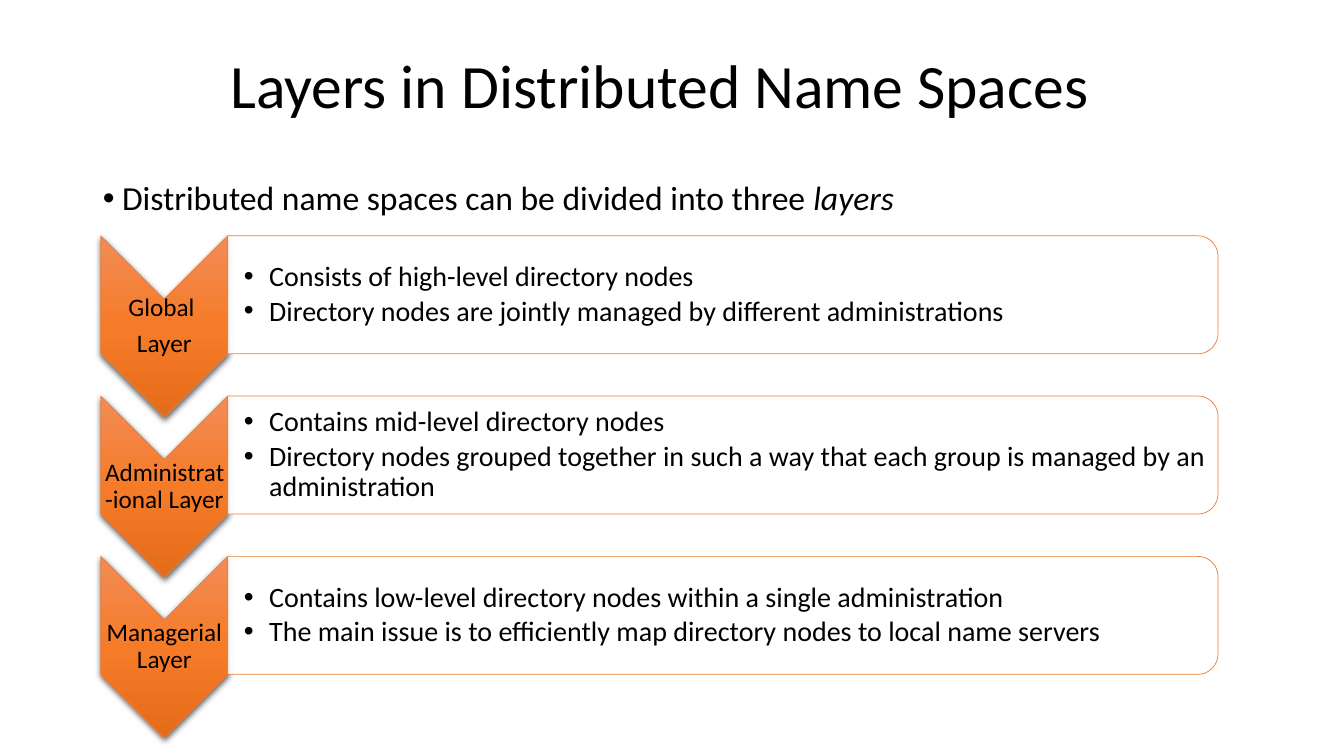
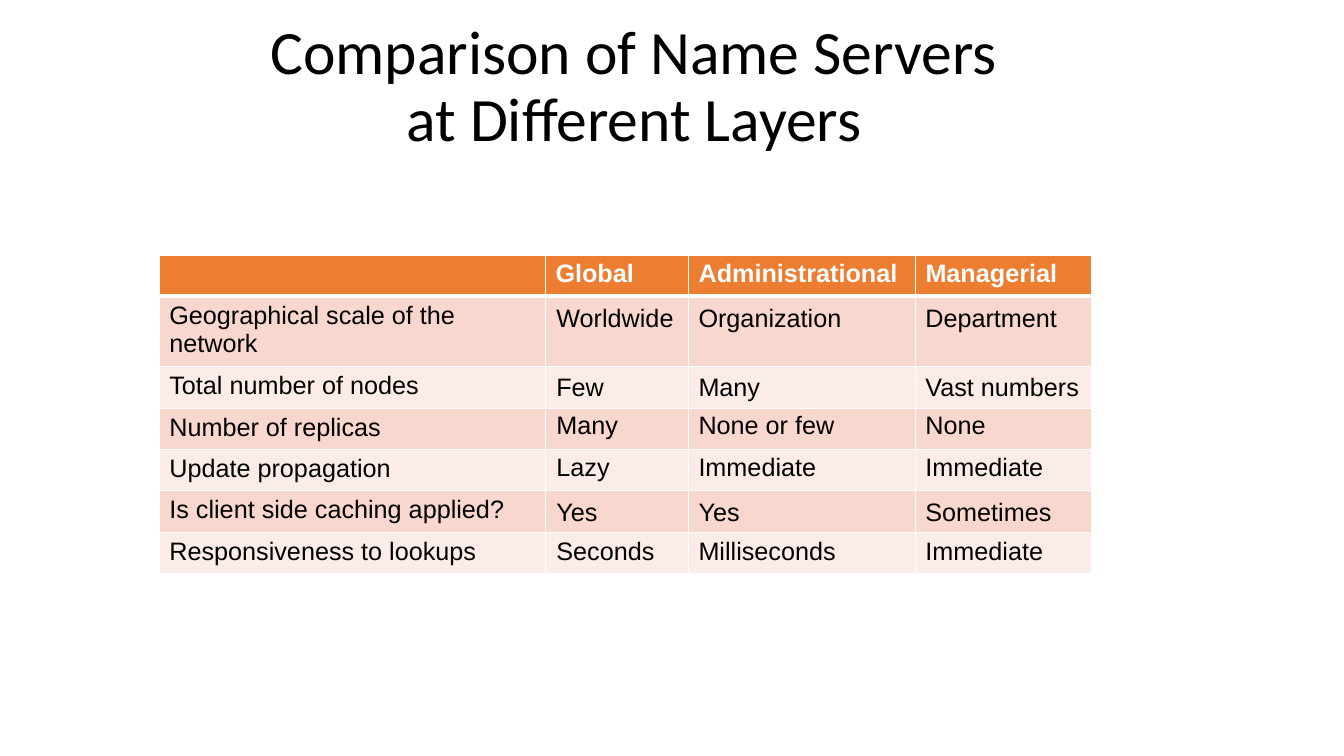
from copy import deepcopy
from math import cos, radians, sin

from lxml.etree import SubElement
from pptx import Presentation
from pptx.dml.color import RGBColor
from pptx.enum.text import MSO_ANCHOR, MSO_AUTO_SIZE, PP_ALIGN
from pptx.oxml.ns import qn
from pptx.util import Inches, Pt

BLACK, WHITE, ORANGE = "000000", "FFFFFF", "ED7D31"
BANDS = ["F8D7CE", "FCECE8"]
GRADIENT = [(0, "F18C57"), (0.5, "F67B28"), (1, "E56C19")]

LAYERS = [
    (["Global ", "Layer"],
     ["Consists of high-level directory nodes",
      "Directory nodes are jointly managed by different administrations"]),
    (["Administrat-ional Layer"],
     ["Contains mid-level directory nodes",
      "Directory nodes grouped together in such a way that each group is "
      "managed by an administration"]),
    (["Managerial Layer"],
     ["Contains low-level directory nodes within a single administration",
      "The main issue is to efficiently map directory nodes to local name servers"]),
]

HEADINGS = ["Global", "Administrational", "Managerial"]
# Row label, top of its values, then each value with the width of its box
COMPARISON = [
    ("Geographical scale of the network", 2.95,
     [("Worldwide", 1.42), ("Organization", 2.17), ("Department", 1.67)]),
    ("Total number of nodes", 3.63,
     [("Few", 0.83), ("Many", 0.83), ("Vast numbers", 1.75)]),
    ("Number of replicas", 4.01,
     [("Many", 0.83), ("None or few", 2.17), ("None", 1.17)]),
    ("Update propagation", 4.43,
     [("Lazy", 0.75), ("Immediate", 2.17), ("Immediate", 1.58)]),
    ("Is client side caching applied?", 4.87,
     [("Yes", 0.75), ("Yes", 0.75), ("Sometimes", 1.5)]),
    ("Responsiveness to lookups", 5.26,
     [("Seconds", 1.25), ("Milliseconds", 1.67), ("Immediate", 1.42)]),
]


def rgb(color):
    return RGBColor.from_string(color)


def apply(target, formats):
    for name, value in formats.items():
        setattr(target, name, value)


def place(shape, left, top, width, height):
    apply(shape, {"left": Inches(left), "top": Inches(top),
                  "width": Inches(width), "height": Inches(height)})


class Deck:
    """Holds the shared style and the slide being built."""

    heading = {"alignment": PP_ALIGN.CENTER, "line_spacing": 0.9}
    label = {**heading, "space_after": Pt(6.3)}
    item = {"alignment": PP_ALIGN.LEFT, "line_spacing": 0.9, "space_after": Pt(3)}
    lead = {"line_spacing": 0.9, "space_before": Pt(7.5)}

    def __init__(self):
        self.deck = Presentation()
        apply(self.deck, {"slide_width": Inches(13.33), "slide_height": Inches(7.5)})
        self.page = None

    def add_page(self, layout, title, left, width):
        self.page = self.deck.slides.add_slide(self.deck.slide_layouts[layout])
        box = self.page.shapes.title
        place(box, left, 0.3, width, 1.15)
        self.frame(box, anchor=MSO_ANCHOR.MIDDLE)
        box.text_frame.text = title
        para = box.text_frame.paragraphs[0]
        apply(para, self.heading)
        for span in para.runs:
            self.font(span, 44)

    def font(self, span, size, name="Calibri", color=BLACK, **extra):
        apply(span.font, {"size": Pt(size), "name": name, **extra})
        span.font.color.rgb = rgb(color)

    def frame(self, box, anchor=MSO_ANCHOR.TOP, insets=(0.1, 0.05, 0.1, 0.05),
              fit=MSO_AUTO_SIZE.NONE):
        sides = ("margin_left", "margin_top", "margin_right", "margin_bottom")
        apply(box.text_frame, {"word_wrap": True, "auto_size": fit,
                               "vertical_anchor": anchor,
                               **dict(zip(sides, map(Inches, insets)))})

    def bullet(self, para, indent):
        props = para._p.get_or_add_pPr()
        props.set("marL", str(Inches(indent)))
        props.set("indent", str(-Inches(indent)))
        SubElement(props, qn("a:buFont"), typeface="Arial")
        SubElement(props, qn("a:buChar"), char="•")

    def paragraphs(self, box, texts, formats, size, indent=None):
        for number, text in enumerate(texts):
            frame = box.text_frame
            para = frame.add_paragraph() if number else frame.paragraphs[0]
            span = para.add_run()
            span.text = text
            self.font(span, size)
            apply(para, formats)
            if indent:
                self.bullet(para, indent)

    def body(self, plain, emphasis):
        box = self.page.placeholders[1]
        place(box, 0.92, 1.75, 9.5, 4.95)
        self.frame(box)
        self.paragraphs(box, [plain], self.lead, 24, indent=0.19)
        span = box.text_frame.paragraphs[0].add_run()
        span.text = emphasis
        self.font(span, 24, italic=True)

    def outline(self, points):
        points = [(Inches(x), Inches(y)) for x, y in points]
        builder = self.page.shapes.build_freeform(*points[0], scale=1.0)
        builder.add_line_segments(points[1:], close=True)
        shape = builder.convert_to_shape()
        shape.shadow.inherit = False
        shape.line.color.rgb = rgb(ORANGE)
        shape.line.width = Pt(0.5)
        return shape

    def chevron(self, left, top, texts):
        middle, right = left + 0.63, left + 1.26
        shape = self.outline([
            (right, top), (right, top + 1.17), (middle, top + 1.8),
            (left, top + 1.17), (left, top), (middle, top + 0.63)])
        # Three-stop gradient running downwards
        shape.fill.gradient()
        shape.fill.gradient_angle = 270
        props = shape._element.spPr
        stops = props.find(".//" + qn("a:gsLst"))
        stops.append(deepcopy(stops[0]))
        for stop, (position, color) in zip(shape.fill.gradient_stops, GRADIENT):
            stop.position = position
            stop.color.rgb = rgb(color)
        # Soft shadow below
        shadow = SubElement(props.find(qn("a:effectLst")), qn("a:outerShdw"),
                            blurRad=str(Pt(4.5)), dist=str(Pt(1.5)),
                            dir="5400000", algn="ctr", rotWithShape="0")
        shade = SubElement(shadow, qn("a:srgbClr"), val=BLACK)
        SubElement(shade, qn("a:alpha"), val="63000")
        self.frame(shape, MSO_ANCHOR.MIDDLE, (0.01, 0.64, 0.01, 0.64))
        self.paragraphs(shape, texts, self.label, 18)

    def panel(self, left, top, texts, width=9.82, height=1.17, radius=0.2):
        right, bottom = left + width, top + height
        turns = [radians(angle) for angle in range(0, 91, 6)]
        upper = [(right - radius + radius * sin(turn),
                  top + radius - radius * cos(turn)) for turn in turns]
        lower = [(x, top + bottom - y) for x, y in reversed(upper)]
        shape = self.outline([(left, top), *upper, *lower, (left, bottom)])
        shape.fill.solid()
        shape.fill.fore_color.rgb = rgb(WHITE)
        tint = shape._element.spPr.find(qn("a:solidFill"))[0]
        SubElement(tint, qn("a:alpha"), val="90000")
        self.frame(shape, MSO_ANCHOR.MIDDLE, (0.16, 0.07, 0.07, 0.07))
        self.paragraphs(shape, texts, self.item, 20, indent=0.25)

    def cell(self, cell, text, fill, color, bold, bottom):
        props = cell._tc.get_or_add_tcPr()
        for side, width in (("L", 1), ("R", 1), ("T", 1), ("B", bottom)):
            edge = SubElement(props, qn(f"a:ln{side}"), w=str(Pt(width)))
            paint = SubElement(edge, qn("a:solidFill"))
            SubElement(paint, qn("a:srgbClr"), val=WHITE)
        cell.fill.solid()
        cell.fill.fore_color.rgb = rgb(fill)
        if text:
            span = cell.text_frame.paragraphs[0].add_run()
            span.text = text
            self.font(span, 18, "Arial", color, bold=bold)

    def table(self, rows, left, top, widths, heights):
        table = self.page.shapes.add_table(
            len(rows), len(widths), Inches(left), Inches(top),
            Inches(sum(widths)), Inches(sum(heights))).table
        for column, width in zip(table.columns, widths):
            column.width = Inches(width)
        for number, (row, height, texts) in enumerate(zip(table.rows, heights, rows)):
            row.height = Inches(height)
            if number:
                style = (BANDS[(number - 1) % 2], BLACK, False, 1)
            else:
                style = (ORANGE, WHITE, True, 3)
            for cell, text in zip(row.cells, texts):
                self.cell(cell, text, *style)

    def value(self, text, left, top, width):
        box = self.page.shapes.add_textbox(
            Inches(left), Inches(top), Inches(width), Inches(0.4))
        self.frame(box, fit=MSO_AUTO_SIZE.SHAPE_TO_FIT_TEXT)
        span = box.text_frame.paragraphs[0].add_run()
        span.text = text
        self.font(span, 18, "Arial")


def main():
    show = Deck()

    # Layers: a chevron and a panel for each
    show.add_page(1, "Layers in Distributed Name Spaces", 1.92, 9.25)
    show.body("Distributed name spaces can be divided into three ", "layers")
    for number, (name, points) in enumerate(LAYERS):
        top = 2.34 + 1.59 * number
        show.chevron(1, top, name)
        show.panel(2.26, top, points)

    # Comparison: table of labels with the values set over it
    show.add_page(5, "Comparison of Name Servers\vat Different Layers", 1, 10.58)
    blanks = [""] * len(HEADINGS)
    rows = [["", *HEADINGS]] + [[label, *blanks] for label, _, _ in COMPARISON]
    show.table(rows, 1.58, 2.53, [3.83, 1.42, 2.25, 1.75], [0.41, 0.7] + [0.41] * 5)
    for _, top, values in COMPARISON:
        for left, (text, width) in zip((5.42, 6.83, 9.08), values):
            show.value(text, left, top, width)

    show.deck.save("out.pptx")


if __name__ == "__main__":
    main()
